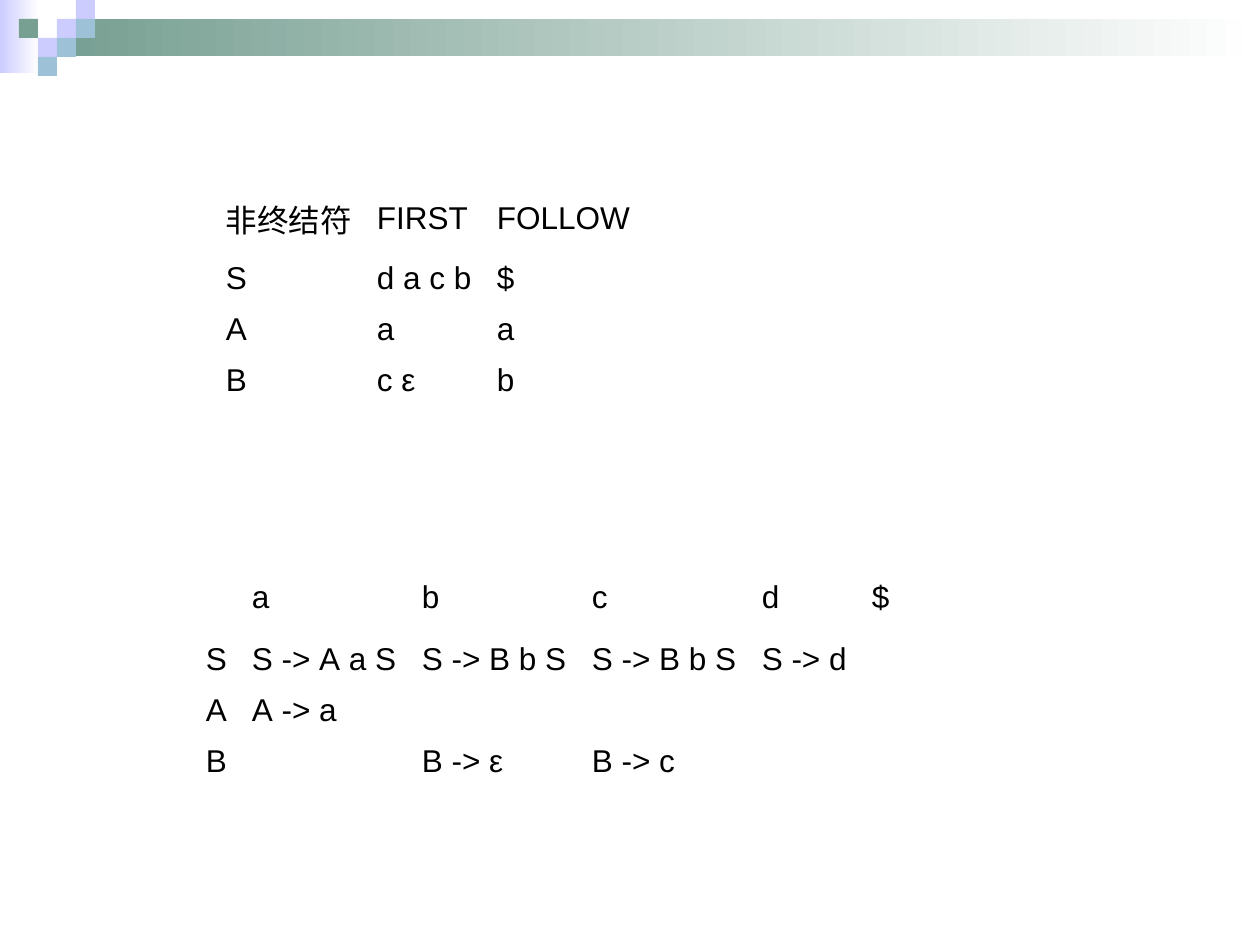
import pptx
import pptx.dml.color
import pptx.enum.shapes
import pptx.enum.text
import pptx.util

SCALE = 914400 / 126
COLORS = {"lilac": "CCCCFF", "green": "779F92", "blue": "9DC2D7",
          "white": "FFFFFF", "black": "000000"}


def px(n):
    return pptx.util.Emu(round(n * SCALE))


def write(cell, text, size=18, font="Arial", color="black"):
    """Put text in a table cell, with spaces that do not break."""
    cell.fill.background()
    cell.vertical_anchor = pptx.enum.text.MSO_ANCHOR.MIDDLE
    cell.margin_left = cell.margin_right = px(12)
    cell.margin_top = cell.margin_bottom = px(6)
    para = cell.text_frame.paragraphs[0]
    para.text = text.replace(" ", chr(160))
    para.font.size = pptx.util.Pt(size)
    para.font.name = font
    para.font.color.rgb = pptx.dml.color.RGBColor.from_string(COLORS[color])


deck = pptx.Presentation()
deck.slide_width, deck.slide_height = px(1260), px(945)
slide = deck.slides.add_slide(deck.slide_layouts[6])

# Fading bars, then the checker squares on a 19 px grid
SIDE = 19
bars = [(0, 0, 39, 73, "lilac", True), (57, 19, 1203, 37, "green", True)]
grid = [(2, 1, "lilac"), (3, 0, "lilac"), (3, 1, "blue"), (1, 2, "lilac"),
        (0, 1, "green"), (2, 2, "blue"), (1, 3, "blue")]
tiles = [(19 + col * SIDE, row * SIDE, SIDE, SIDE, color, False)
         for col, row, color in grid]
for left, top, width, height, color, fade in bars + tiles:
    rect = slide.shapes.add_shape(pptx.enum.shapes.MSO_SHAPE.RECTANGLE,
                                  px(left), px(top), px(width), px(height))
    rect.shadow.inherit = False
    rect.line.fill.background()
    if fade:
        rect.fill.gradient()
        rect.fill.gradient_angle = 0
        for stop, pos, name in zip(rect.fill.gradient_stops, (0, 1), (color, "white")):
            stop.position = pos
            stop.color.rgb = pptx.dml.color.RGBColor.from_string(COLORS[name])
    else:
        rect.fill.solid()
        rect.fill.fore_color.rgb = pptx.dml.color.RGBColor.from_string(COLORS[color])

# First and follow sets, then the parse table
sets = [["非终结符", "FIRST", "FOLLOW"],
        ["S", "d a c b", "$"],
        ["A", "a", "a"],
        ["B", "c ε", "b"]]
rules = [["", "a", "b", "c", "d", "$"],
         ["S", "S -> A a S", "S -> B b S", "S -> B b S", "S -> d", ""],
         ["A", "A -> a", "", "", "", ""],
         ["B", "", "B -> ε", "B -> c", "", ""]]
tables = [(sets, 214, 185, [151, 120, 159], 68),
          (rules, 194, 562, [46, 170, 170, 170, 110, 43], 72)]
for data, left, top, widths, head in tables:
    heights = [head] + [51] * (len(data) - 1)
    table = slide.shapes.add_table(len(data), len(widths), px(left), px(top),
                                   px(sum(widths)), px(sum(heights))).table
    table.first_row = table.horz_banding = False
    for col, width in zip(table.columns, widths):
        col.width = px(width)
    for row, height, texts in zip(table.rows, heights, data):
        row.height = px(height)
        for cell, text in zip(row.cells, texts):
            write(cell, text)

deck.save("out.pptx")
